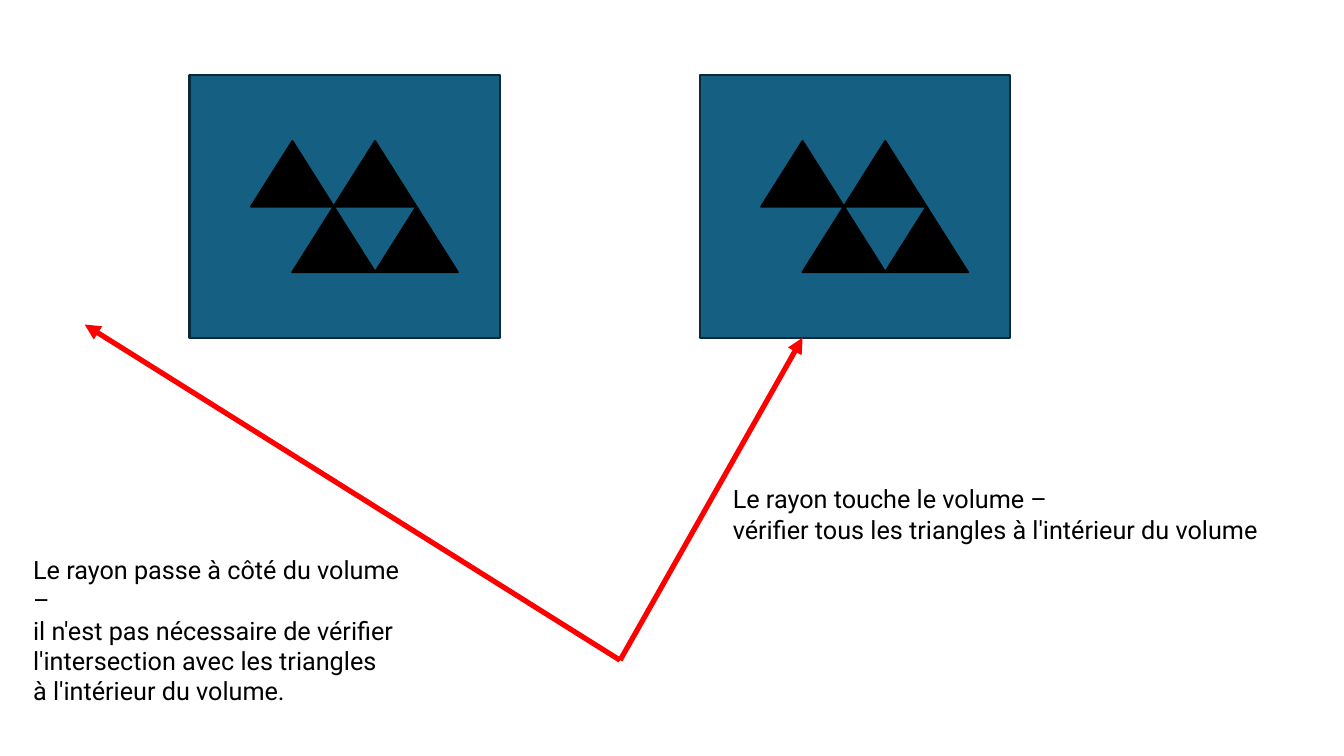
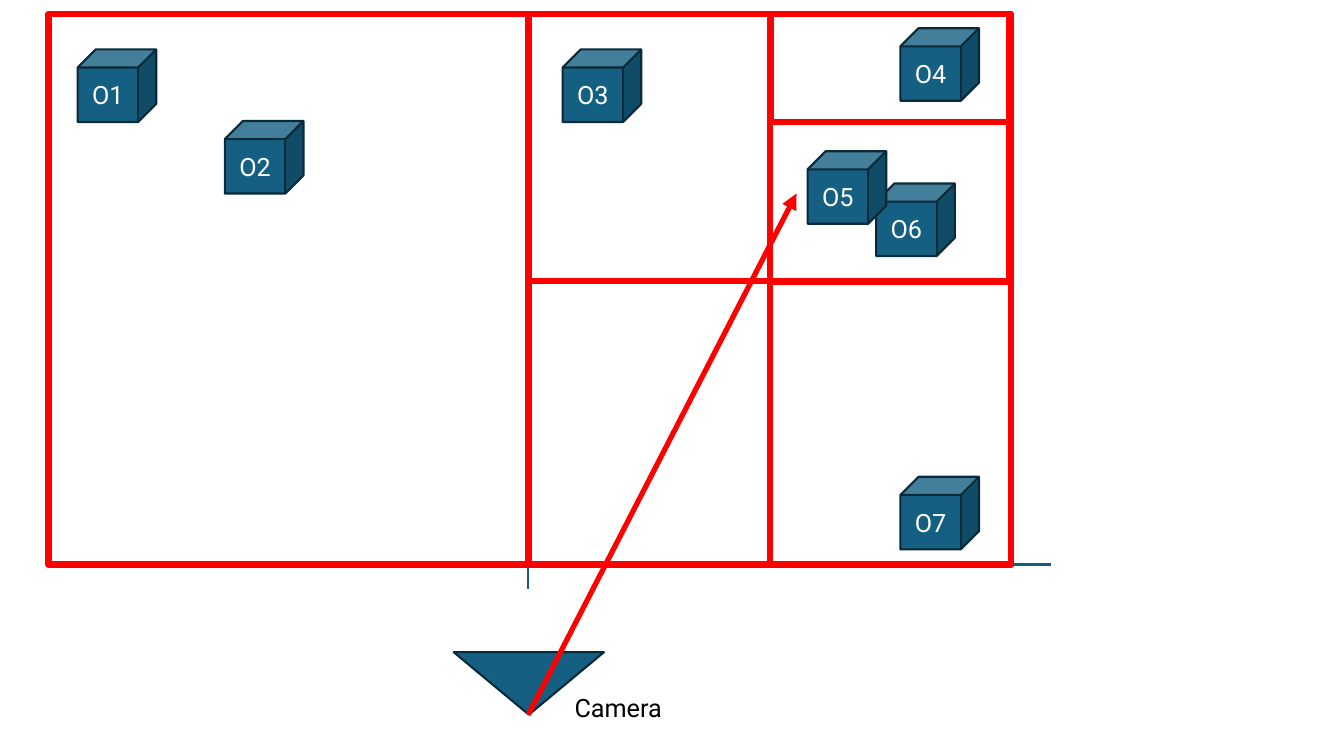
"""Build two slides on bounding volumes and spatial subdivision for ray tracing."""
import pptx
import pptx.dml.color
import pptx.enum.shapes
import pptx.enum.text
import pptx.oxml
import pptx.oxml.ns
import pptx.util

Inches = pptx.util.Inches
Pt = pptx.util.Pt
RGBColor = pptx.dml.color.RGBColor
Preset = pptx.enum.shapes.MSO_SHAPE
Align = pptx.enum.text.PP_ALIGN
Anchor = pptx.enum.text.MSO_ANCHOR

BLUE = RGBColor(0x15, 0x60, 0x82)
NAVY = RGBColor(0x09, 0x2A, 0x39)
RED = RGBColor(0xFF, 0x00, 0x00)
BLACK = RGBColor(0x00, 0x00, 0x00)
WHITE = RGBColor(0xFF, 0xFF, 0xFF)
FONT = "Roboto"


def add_item(slide, box, text="", preset=None, fill=None, line=NAVY, width=1.5,
             color=BLACK, align=Align.LEFT, anchor=Anchor.TOP):
    """Add a text box, or a preset shape, with its text and format."""
    lengths = [Inches(value) for value in box]
    if preset is None:
        shape = slide.shapes.add_textbox(*lengths)
    else:
        shape = slide.shapes.add_shape(preset, *lengths)
        shape.shadow.inherit = False
        if fill is None:
            shape.fill.background()
        else:
            shape.fill.solid()
            shape.fill.fore_color.rgb = fill
        shape.line.color.rgb = line
        shape.line.width = Pt(width)
    if text:
        frame = shape.text_frame
        frame.word_wrap = True
        frame.vertical_anchor = anchor
        paragraph = frame.paragraphs[0]
        paragraph.text = text
        paragraph.alignment = align
        for run in paragraph.runs:
            run.font.name = FONT
            run.font.size = Pt(18)
            run.font.color.rgb = color
    return shape


def add_line(slide, start, end, color=RED, width=3.75, arrow=True):
    """Add a straight line, with an arrowhead at its end if wanted."""
    connector = slide.shapes.add_connector(
        pptx.enum.shapes.MSO_CONNECTOR.STRAIGHT,
        *[Inches(value) for value in start + end])
    connector.line.color.rgb = color
    connector.line.width = Pt(width)
    if arrow:
        head = pptx.oxml.parse_xml(
            f'<a:tailEnd {pptx.oxml.ns.nsdecls("a")} type="triangle"/>')
        connector.line._get_or_add_ln().append(head)
    connector._element.spPr.append(
        pptx.oxml.parse_xml(f'<a:effectLst {pptx.oxml.ns.nsdecls("a")}/>'))


presentation = pptx.Presentation()
presentation.slide_width = Inches(13.33)
presentation.slide_height = Inches(7.5)
blank = presentation.slide_layouts[6]

volume_slide = presentation.slides.add_slide(blank)
TRIANGLE_WIDTH, TRIANGLE_HEIGHT = 0.82, 0.65
for volume_left in (1.88, 6.94):
    add_item(volume_slide, (volume_left, 0.74, 3.08, 2.61),
             preset=Preset.RECTANGLE, fill=BLUE)
    for row in range(2):
        for column in range(2):
            left = volume_left + 0.61 + (column + row / 2) * TRIANGLE_WIDTH
            top = 1.4 + row * TRIANGLE_HEIGHT
            add_item(volume_slide, (left, top, TRIANGLE_WIDTH, TRIANGLE_HEIGHT),
                     preset=Preset.ISOSCELES_TRIANGLE, fill=BLACK, line=BLACK)

for target in ((0.84, 3.22), (7.96, 3.35)):
    add_line(volume_slide, (6.15, 6.55), target)
add_item(volume_slide, (0.23, 5.45, 3.95, 1.31),
         "Le rayon passe à côté du volume – \n"
         "il n'est pas nécessaire de vérifier \n"
         "l'intersection avec les triangles \n"
         "à l'intérieur du volume.")
add_item(volume_slide, (7.17, 4.75, 6.67, 0.71),
         "Le rayon touche le volume – \n"
         "vérifier tous les triangles à l'intérieur du volume")

tree_slide = presentation.slides.add_slide(blank)
camera = add_item(tree_slide, (4.5, 6.47, 1.49, 0.62),
                  preset=Preset.ISOSCELES_TRIANGLE, fill=BLUE)
camera.rotation = 180
for start, end in (((5.24, 5.84), (5.24, 0.14)), ((0.77, 5.6), (10.42, 5.6))):
    add_line(tree_slide, start, end, color=BLUE, width=1.5, arrow=False)

cells = [
    (0.48, 0.14, 4.77, 5.46),
    (5.24, 0.14, 4.79, 5.46),
    (5.25, 2.79, 4.78, 2.81),
    (7.64, 0.14, 2.37, 2.66),
    (7.65, 0.14, 2.37, 1.07),
    (5.25, 2.79, 2.39, 2.81),
]
for cell in cells:
    add_item(tree_slide, cell, preset=Preset.RECTANGLE, line=RED, width=4.5)

objects = [
    ("O1", 0.77, 0.49),
    ("O2", 2.23, 1.2),
    ("O3", 5.58, 0.49),
    ("O6", 8.69, 1.82),
    ("O7", 8.93, 4.73),
    ("O5", 8.01, 1.5),
    ("O4", 8.93, 0.28),
]
for name, left, top in objects:
    add_item(tree_slide, (left, top, 0.78, 0.72), name, preset=Preset.CUBE,
             fill=BLUE, color=WHITE, align=Align.CENTER, anchor=Anchor.MIDDLE)

add_item(tree_slide, (5.6, 6.82, 1.25, 0.4), "Camera")
add_line(tree_slide, (5.24, 7.09), (7.9, 1.92))

presentation.save("out.pptx")
